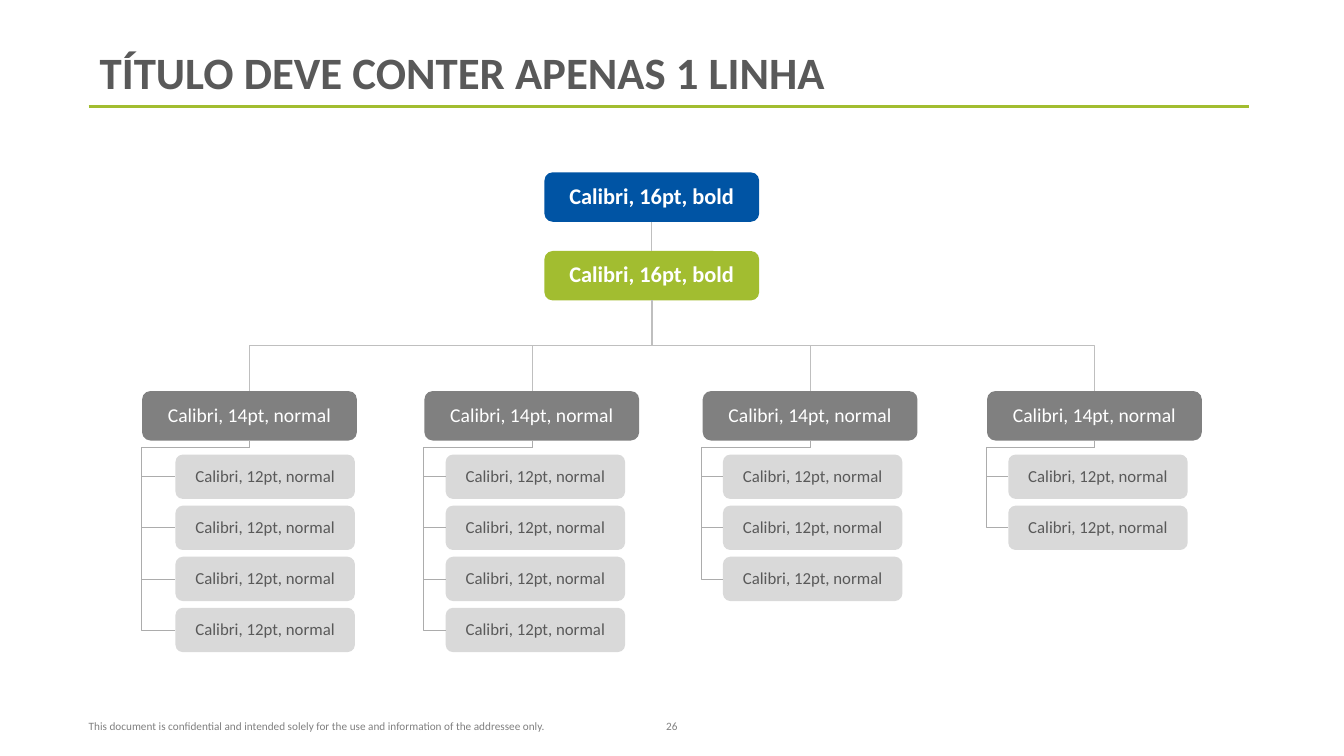
from lxml.etree import SubElement
from pptx import Presentation
from pptx.dml.color import RGBColor
from pptx.enum.shapes import MSO_CONNECTOR, MSO_SHAPE
from pptx.enum.text import MSO_ANCHOR, PP_ALIGN
from pptx.oxml.ns import qn
from pptx.util import Inches, Pt

TOP, LEFT, BOTTOM = 0, 1, 2
BLUE, GREEN, GRAY, LIGHT, DARK = "0054A4", "A2BD30", "808080", "D9D9D9", "595959"
BRANCH_LINE, LIST_LINE = "BFBFBF", "ACACAC"


def color(value):
    return RGBColor.from_string(value)


def write(tf, text, size, fill, bold=False, align=PP_ALIGN.LEFT,
          anchor=MSO_ANCHOR.TOP, line_spacing=None, space=None):
    tf.word_wrap = True
    tf.vertical_anchor = anchor
    p = tf.paragraphs[0]
    p.alignment = align
    if line_spacing:
        p.line_spacing = line_spacing
    if space:
        p.space_before = p.space_after = Pt(space)
    r = p.add_run()
    r.text = text
    r.font.name = "Calibri"
    r.font.size = Pt(size)
    r.font.bold = bold
    r.font.color.rgb = color(fill)


class OrgChart:
    def __init__(self, slide):
        self.shapes = slide.shapes

    def text(self, x, y, w, h, text, side_inset=0.1, **fmt):
        tf = self.shapes.add_textbox(Inches(x), Inches(y), Inches(w), Inches(h)).text_frame
        tf.margin_left = tf.margin_right = Inches(side_inset)
        write(tf, text, **fmt)

    def box(self, x, y, w, h, text, fill, size, ink="FFFFFF", bold=False):
        sp = self.shapes.add_shape(MSO_SHAPE.ROUNDED_RECTANGLE,
                                   Inches(x), Inches(y), Inches(w), Inches(h))
        sp.shadow.inherit = False
        sp.fill.solid()
        sp.fill.fore_color.rgb = color(fill)
        sp.line.fill.background()
        write(sp.text_frame, text, size, ink, bold, PP_ALIGN.CENTER,
              MSO_ANCHOR.MIDDLE, line_spacing=0.9)
        return sp

    def line(self, stroke, width=0.5, kind=MSO_CONNECTOR.STRAIGHT,
             points=(0, 0, 0, 0), begin=None, end=None):
        """Draw between points, or between (shape, site) pairs."""
        c = self.shapes.add_connector(kind, *map(Inches, points))
        if begin:
            c.begin_connect(*begin)
        if end:
            c.end_connect(*end)
        c.line.color.rgb = color(stroke)
        c.line.width = Pt(width)
        SubElement(c._element.spPr, qn("a:effectLst"))
        return c

    def elbow(self, stroke, begin, end, preset, adjust, rot, flip_h=False, flip_v=False):
        """Draw a bent connector turned by rot degrees; adjust maps (run, rise) to ratios."""
        c = self.line(stroke, kind=MSO_CONNECTOR.ELBOW, begin=begin, end=end)
        mid_x, mid_y = (c.begin_x + c.end_x) // 2, (c.begin_y + c.end_y) // 2
        rise, run = abs(c.end_x - c.begin_x), abs(c.end_y - c.begin_y)
        c.left, c.top = mid_x - run // 2, mid_y - rise // 2
        c.width, c.height = run, rise
        xfrm = c._element.spPr.find(qn("a:xfrm"))
        xfrm.set("rot", str(rot * 60000))
        xfrm.set("flipH", str(int(flip_h)))
        xfrm.set("flipV", str(int(flip_v)))
        geom = c._element.spPr.find(qn("a:prstGeom"))
        geom.set("prst", preset)
        guides = geom.find(qn("a:avLst"))
        for i, ratio in enumerate(adjust(run, rise), 1):
            SubElement(guides, qn("a:gd"), name=f"adj{i}", fmla=f"val {round(ratio * 100000)}")

    def branch(self, department, parent):
        left_side = department.left < parent.left
        self.elbow(BRANCH_LINE, (department, TOP), (parent, BOTTOM), "bentConnector3",
                   lambda run, rise: [0.5], 90 if left_side else 270,
                   flip_h=left_side, flip_v=True)

    def list_branch(self, department, item):
        drop = Inches(0.07)
        reach = department.width / 2 + Inches(0.01)
        self.elbow(LIST_LINE, (department, BOTTOM), (item, LEFT), "bentConnector4",
                   lambda run, rise: [drop / run, reach / rise], 90)


def main():
    prs = Presentation()
    prs.slide_width, prs.slide_height = Inches(13.33), Inches(7.5)
    s = OrgChart(prs.slides.add_slide(prs.slide_layouts[6]))

    s.line(GREEN, 2.25, points=(0.88, 1.06, 12.39, 1.06))
    s.text(0.88, 7.09, 4.91, 0.26, "This document is confidential and intended solely "
           "for the use and information of the addressee only.",
           side_inset=0, size=8, fill=GRAY, space=3)
    s.text(6.45, 7.09, 0.43, 0.26, "26", size=8, fill=GRAY, align=PP_ALIGN.CENTER, space=3)
    s.text(0.89, 0.29, 11.42, 0.74, "TÍTULO DEVE CONTER APENAS 1 LINHA", size=32,
           fill=DARK, bold=True, anchor=MSO_ANCHOR.BOTTOM, line_spacing=0.9)

    head, deputy = [s.box(5.4, y, 2.13, 0.49, "Calibri, 16pt, bold", fill, 16, bold=True)
                    for y, fill in ((1.71, BLUE), (2.49, GREEN))]
    s.line(BRANCH_LINE, begin=(head, BOTTOM), end=(deputy, TOP))

    # department left, item left, number of items
    columns = [(1.41, 1.74, 4), (4.21, 4.42, 4), (6.97, 7.17, 3), (9.79, 10, 2)]
    for department_x, item_x, count in columns:
        department = s.box(department_x, 3.88, 2.13, 0.49, "Calibri, 14pt, normal", GRAY, 14)
        s.branch(department, deputy)
        for i in range(count):
            item = s.box(item_x, 4.51 + 1.52 * i / 3, 1.78, 0.44,
                         "Calibri, 12pt, normal", LIGHT, 12, ink=DARK)
            s.list_branch(department, item)

    prs.save("out.pptx")


if __name__ == "__main__":
    main()
